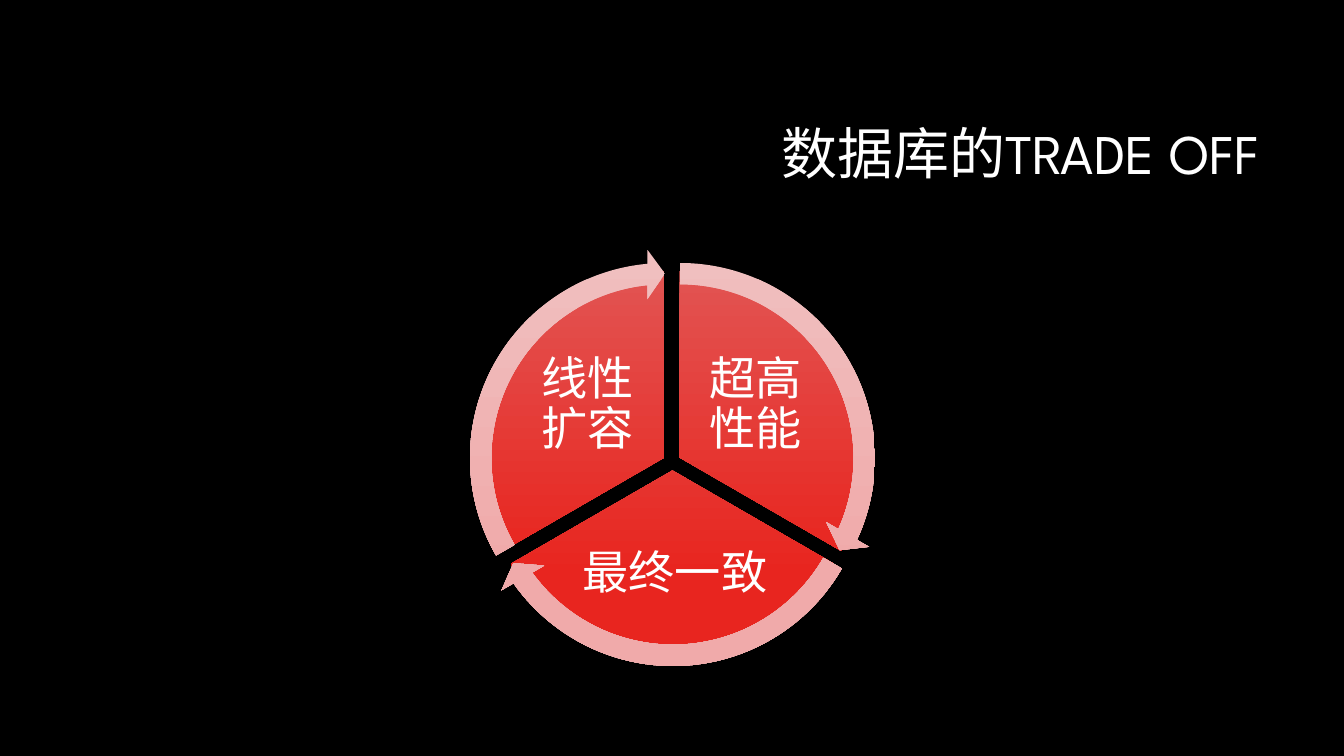
import dataclasses

import pptx
import pptx.dml.color
import pptx.enum.shapes
import pptx.enum.text
import pptx.util

SHAPES = pptx.enum.shapes.MSO_SHAPE
ALIGN = pptx.enum.text.PP_ALIGN
MIDDLE = pptx.enum.text.MSO_ANCHOR.MIDDLE
EMU_PER_PX = 914400 / 100.8
PIE_SIZE = 373
ARROW_SIZE = 418
ARROW_OFFSET = (ARROW_SIZE - PIE_SIZE) // 2


@dataclasses.dataclass(frozen=True)
class Theme:
    background: str = "000000"
    text: str = "FFFFFF"
    sector: tuple = ("E25452", "E8251F")
    arrow: tuple = ("F0BFBF", "F0AAAA")
    gradient_stops: tuple = (0, 0.78)
    font: str = "League Spartan"
    title_size: int = 40
    label_size: int = 33


def px(*lengths):
    return [pptx.util.Emu(round(length * EMU_PER_PX)) for length in lengths]


def rgb(colour):
    return pptx.dml.color.RGBColor.from_string(colour)


def write_text(frame, text, *, font, size, colour, align, inset=None):
    frame.word_wrap = True
    frame.auto_size = pptx.enum.text.MSO_AUTO_SIZE.NONE
    frame.vertical_anchor = MIDDLE
    if inset is not None:
        frame.margin_left, frame.margin_top, frame.margin_right, frame.margin_bottom = px(*[inset] * 4)
    paragraph = frame.paragraphs[0]
    paragraph.alignment = align
    paragraph.line_spacing = 0.9
    run = paragraph.add_run()
    run.text = text
    run.font.name = font
    run.font.size = pptx.util.Pt(size)
    run.font.color.rgb = rgb(colour)


class SlideBuilder:
    def __init__(self, slide, theme):
        self.slide = slide
        self.theme = theme
        slide.background.fill.solid()
        slide.background.fill.fore_color.rgb = rgb(theme.background)

    def title(self, text, box):
        heading = self.slide.shapes.title
        heading.left, heading.top, heading.width, heading.height = px(*box)
        write_text(heading.text_frame, text, font=self.theme.font, size=self.theme.title_size,
                   colour=self.theme.text, align=ALIGN.RIGHT)

    def start_cycle(self):
        self.cycle = self.slide.shapes.add_group_shape().shapes

    def label(self, text, box):
        label = self.cycle.add_textbox(*px(*box))
        write_text(label.text_frame, text, font=self.theme.font, size=self.theme.label_size,
                   colour=self.theme.text, align=ALIGN.CENTER, inset=5)

    def gradient_shape(self, preset, box, adjustments, colours):
        part = self.cycle.add_shape(preset, *px(*box))
        part.shadow.inherit = False
        part.line.fill.background()
        for index, value in enumerate(adjustments):
            part.adjustments[index] = value
        part.fill.gradient()
        part.fill.gradient_angle = 270
        for stop, position, colour in zip(part.fill.gradient_stops, self.theme.gradient_stops, colours):
            stop.position = position
            stop.color.rgb = rgb(colour)

    def sector(self, corner, angles):
        self.gradient_shape(SHAPES.PIE, (*corner, PIE_SIZE, PIE_SIZE), angles, self.theme.sector)

    def arrow(self, sector_corner, angles):
        left, top = (edge - ARROW_OFFSET for edge in sector_corner)
        self.gradient_shape(SHAPES.CIRCULAR_ARROW, (left, top, ARROW_SIZE, ARROW_SIZE),
                            (0.051, 3.275, *angles, 0.059), self.theme.arrow)


def main():
    deck = pptx.Presentation()
    deck.slide_width, deck.slide_height = px(1344, 756)
    builder = SlideBuilder(deck.slides.add_slide(deck.slide_layouts[5]), Theme())
    builder.title("数据库的TRADE OFF", (320, 85, 950, 142))

    tradeoffs = [
        ("超高性能", (689, 350, 133, 111), (493, 271), (162, 18), (14.72, 161.99)),
        ("最终一致", (575, 526, 200, 98), (486, 284), (18, 90), (86.72, 18)),
        ("线性扩容", (521, 350, 133, 111), (478, 271), (90, 162), (158.73, 90)),
    ]
    builder.start_cycle()
    for name, label_box, corner, sector_angles, _ in tradeoffs:
        builder.sector(corner, sector_angles)
        builder.label(name, label_box)
    for _, _, corner, _, arrow_angles in tradeoffs:
        builder.arrow(corner, arrow_angles)

    deck.save("out.pptx")


if __name__ == "__main__":
    main()
